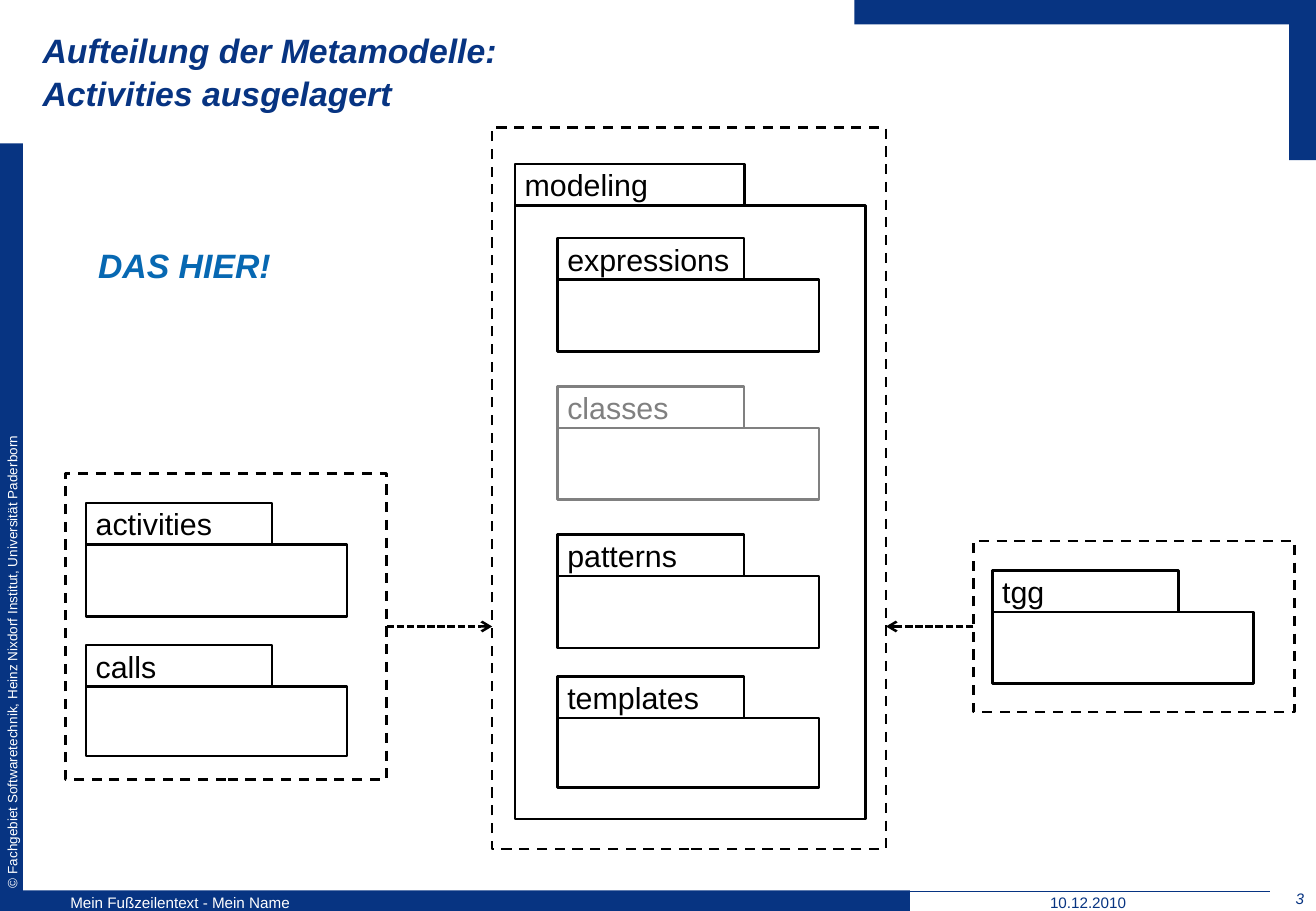
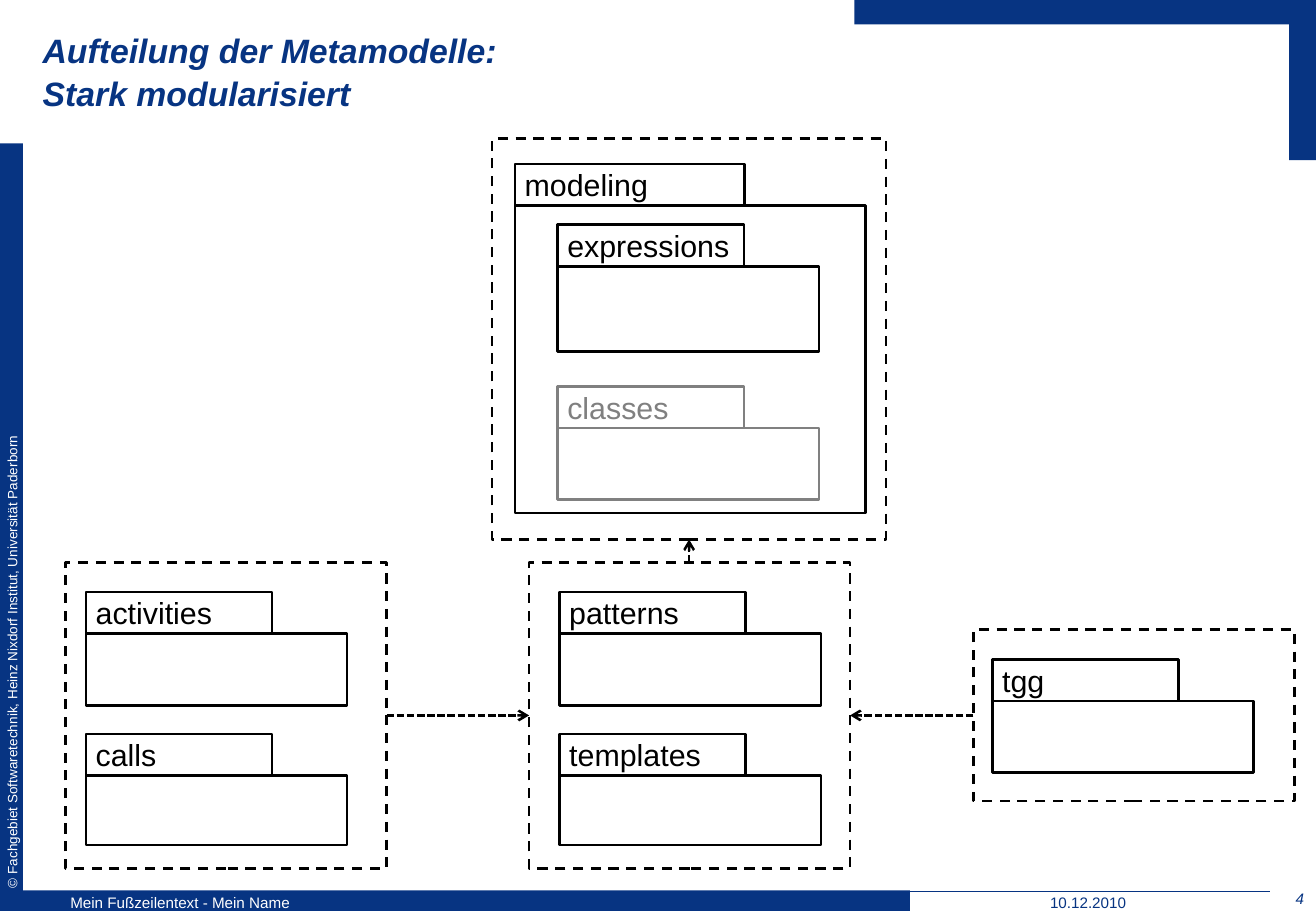
from dataclasses import dataclass

from lxml import etree
from pptx import Presentation
from pptx.dml.color import RGBColor
from pptx.enum.dml import MSO_LINE
from pptx.enum.shapes import MSO_CONNECTOR, MSO_SHAPE
from pptx.enum.text import MSO_ANCHOR, MSO_AUTO_SIZE, PP_ALIGN
from pptx.oxml.ns import qn
from pptx.shapes.autoshape import Shape
from pptx.shapes.connector import Connector
from pptx.slide import Slide, SlideLayout
from pptx.util import Cm, Pt

RECTANGLE = MSO_SHAPE.RECTANGLE
STRAIGHT = MSO_CONNECTOR.STRAIGHT
DASH, SHORT_DASH = MSO_LINE.DASH, MSO_LINE.SQUARE_DOT
LEFT, CENTER, RIGHT = PP_ALIGN.LEFT, PP_ALIGN.CENTER, PP_ALIGN.RIGHT
TOP, MIDDLE = MSO_ANCHOR.TOP, MSO_ANCHOR.MIDDLE
NO_AUTOFIT = MSO_AUTO_SIZE.NONE
TITLE_ONLY = 5


@dataclass(frozen=True)
class TextStyle:
    size: float
    color: RGBColor
    bold: bool = False
    italic: bool = False


@dataclass(frozen=True)
class Theme:
    font: str = "Arial"
    navy: RGBColor = RGBColor(0x07, 0x34, 0x82)
    blue: RGBColor = RGBColor(0x07, 0x68, 0xB2)
    black: RGBColor = RGBColor(0, 0, 0)
    gray: RGBColor = RGBColor(0x80, 0x80, 0x80)
    white: RGBColor = RGBColor(0xFF, 0xFF, 0xFF)
    title_size: float = 20
    package_size: float = 18
    footer_size: float = 9
    copyright_size: float = 8
    line_width: float = 1.5
    rule_width: float = 1


THEME = Theme()


@dataclass(frozen=True)
class Box:
    """A rectangle in centimetres."""
    left: float
    top: float
    width: float
    height: float

    @property
    def right(self) -> float:
        return self.left + self.width

    @property
    def bottom(self) -> float:
        return self.top + self.height

    @property
    def center(self) -> float:
        return self.left + self.width / 2

    @property
    def middle(self) -> float:
        return self.top + self.height / 2

    def lengths(self) -> tuple[Cm, Cm, Cm, Cm]:
        return Cm(self.left), Cm(self.top), Cm(self.width), Cm(self.height)


@dataclass(frozen=True)
class Package:
    """A UML package: a name tab on top of a body."""
    name: str
    left: float
    top: float
    body_height: float = 1.5
    body_width: float = 5.46
    tab_width: float = 3.89
    color: RGBColor = THEME.black


TAB_HEIGHT = 0.87
PAIR_PITCH = 2.97
PAIR_WIDTH, PAIR_HEIGHT = 6.71, 6.4
MODULE_PADDING = 0.62
SLIDE_WIDTH, SLIDE_HEIGHT = 27.51, 19.05

BANDS = (
    Box(0, 18.62, 19.02, 0.43),
    Box(0, 3, 0.48, 16.05),
    Box(17.86, 0, 9.65, 0.51),
    Box(26.95, 0, 0.56, 3.35),
)


def set_text(shape: Shape, text: str, style: TextStyle, align: PP_ALIGN = LEFT,
             anchor: MSO_ANCHOR = MIDDLE, wrap: bool = True,
             insets: tuple[float, ...] = (0.25, 0.13, 0.25, 0.13)) -> None:
    frame = shape.text_frame
    frame.text = text
    frame.word_wrap = wrap
    frame.auto_size = NO_AUTOFIT
    frame.vertical_anchor = anchor
    (frame.margin_left, frame.margin_top,
     frame.margin_right, frame.margin_bottom) = map(Cm, insets)
    for paragraph in frame.paragraphs:
        paragraph.alignment = align
        for run in paragraph.runs:
            run.font.name = THEME.font
            run.font.size = Pt(style.size)
            run.font.bold = style.bold
            run.font.italic = style.italic
            run.font.color.rgb = style.color


def add_text(slide: Slide, box: Box, text: str, style: TextStyle, **options) -> Shape:
    shape = slide.shapes.add_textbox(*box.lengths())
    set_text(shape, text, style, **options)
    return shape


def add_rectangle(slide: Slide, box: Box, fill: RGBColor,
                  line: RGBColor | None = None) -> Shape:
    shape = slide.shapes.add_shape(RECTANGLE, *box.lengths())
    shape.shadow.inherit = False
    shape.fill.solid()
    shape.fill.fore_color.rgb = fill
    if line is None:
        shape.line.fill.background()
    else:
        shape.line.color.rgb = line
        shape.line.width = Pt(THEME.line_width)
    return shape


def add_line(slide: Slide, start: tuple[float, float], end: tuple[float, float],
             color: RGBColor, width: float) -> Connector:
    points = (Cm(value) for value in (*start, *end))
    connector = slide.shapes.add_connector(STRAIGHT, *points)
    connector.line.color.rgb = color
    connector.line.width = Pt(width)
    etree.SubElement(connector.element.spPr, qn("a:effectLst"))
    return connector


def add_dependency(slide: Slide, start: tuple[float, float],
                   end: tuple[float, float]) -> None:
    """Draw a dashed arrow from the dependent module to the one it uses."""
    connector = add_line(slide, start, end, THEME.black, THEME.line_width)
    connector.line.dash_style = SHORT_DASH
    outline = connector.element.spPr.find(qn("a:ln"))
    etree.SubElement(outline, qn("a:tailEnd"), type="arrow")


def add_module(slide: Slide, box: Box) -> Box:
    """Draw the dashed frame of a module and return its box."""
    add_rectangle(slide, box, THEME.white, THEME.black).line.dash_style = DASH
    return box


def add_package(slide: Slide, package: Package) -> None:
    body = Box(package.left, package.top + TAB_HEIGHT,
               package.body_width, package.body_height)
    tab = Box(package.left, package.top, package.tab_width, TAB_HEIGHT)
    add_rectangle(slide, body, THEME.white, package.color)
    shape = add_rectangle(slide, tab, THEME.white, package.color)
    set_text(shape, package.name, TextStyle(THEME.package_size, package.color),
             insets=(0.2, 0, 0, 0))


def add_package_pair(slide: Slide, left: float, top: float,
                     upper: str, lower: str) -> None:
    add_package(slide, Package(upper, left, top))
    add_package(slide, Package(lower, left, top + PAIR_PITCH, body_height=1.45))


def add_side_modules(slide: Slide, top: float) -> tuple[Box, Box]:
    """Draw the activities module and, level with its middle, the tgg module."""
    activities = add_module(slide, Box(1.37, top, PAIR_WIDTH, PAIR_HEIGHT))
    add_package_pair(slide, 1.8, top + MODULE_PADDING, "activities", "calls")
    tgg_height = 3.58
    tgg = add_module(slide, Box(20.35, activities.middle - tgg_height / 2,
                                PAIR_WIDTH, tgg_height))
    add_package(slide, Package("tgg", 20.75, tgg.top + MODULE_PADDING))
    return activities, tgg


def add_modeling(slide: Slide, module: Box, body_height: float,
                 expressions: Package) -> Box:
    add_module(slide, module)
    add_package(slide, Package("modeling", 10.77, 3.43, body_height, 7.32, 4.8))
    add_package(slide, expressions)
    add_package(slide, Package("classes", 11.66, 8.08, color=THEME.gray))
    return module


def connect_sides(slide: Slide, activities: Box, used: Box, tgg: Box) -> None:
    level = activities.middle
    add_dependency(slide, (activities.right, level), (used.left, level))
    add_dependency(slide, (tgg.left, level), (used.right, level))


def move_bands_to_layout(slide: Slide, layout: SlideLayout) -> None:
    """Draw the shared bands and copyright line, then hand them to the layout."""
    shapes = [add_rectangle(slide, band, THEME.navy) for band in BANDS]
    shapes.append(add_line(slide, (19, 18.64), (26.54, 18.64),
                           THEME.navy, THEME.rule_width))
    copyright_line = add_text(
        slide, Box(-6.86, 11.3, 14.22, 0.33),
        "© Fachgebiet Softwaretechnik, Heinz Nixdorf Institut, Universität Paderborn",
        TextStyle(THEME.copyright_size, THEME.white), insets=(0, 0, 0, 0))
    copyright_line.rotation = 270
    shapes.append(copyright_line)
    for shape in shapes:
        layout.shapes.element.append(shape.element)


def add_slide(presentation: Presentation, layout: SlideLayout,
              subtitle: str, number: int) -> Slide:
    slide = presentation.slides.add_slide(layout)
    title = slide.shapes.title
    title.left, title.top, title.width, title.height = Box(0, 0, 16.84, 2.95).lengths()
    set_text(title, f"Aufteilung der Metamodelle:\v{subtitle}",
             TextStyle(THEME.title_size, THEME.navy, bold=True, italic=True),
             insets=(0.89, 0.13, 0.25, 0.13))
    title.text_frame.paragraphs[0].line_spacing = 1.05

    add_text(slide, Box(26.52, 18.47, 0.99, 0.58), str(number),
             TextStyle(THEME.footer_size, THEME.navy, italic=True),
             align=RIGHT, anchor=TOP)
    add_text(slide, Box(1.37, 18.64, 17.15, 0.48), "Mein Fußzeilentext - Mein Name",
             TextStyle(THEME.footer_size, THEME.white), insets=(0.1, 0.13, 0.2, 0.13))
    add_text(slide, Box(19.53, 18.64, 6.43, 0.48), "10.12.2010",
             TextStyle(THEME.footer_size, THEME.navy), align=CENTER)
    return slide


def draw_activities_split(slide: Slide) -> None:
    modeling = add_modeling(slide, Box(10.29, 2.67, 8.23, 15.09), 12.83,
                            Package("expressions", 11.66, 4.98))
    add_package_pair(slide, 11.66, 11.18, "patterns", "templates")
    activities, tgg = add_side_modules(slide, 9.9)
    connect_sides(slide, activities, modeling, tgg)
    add_text(slide, Box(1.8, 4.98, 4.17, 1.12), "DAS HIER!",
             TextStyle(THEME.title_size, THEME.blue, bold=True, italic=True),
             anchor=TOP, wrap=False)


def draw_modular_split(slide: Slide) -> None:
    modeling = add_modeling(slide, Box(10.29, 2.9, 8.23, 8.38), 6.43,
                            Package("expressions", 11.66, 4.7, body_height=1.78))
    patterns = add_module(slide, Box(11.06, 11.76, PAIR_WIDTH, PAIR_HEIGHT))
    add_package_pair(slide, 11.7, patterns.top + MODULE_PADDING,
                     "patterns", "templates")
    activities, tgg = add_side_modules(slide, patterns.top)
    connect_sides(slide, activities, patterns, tgg)
    add_dependency(slide, (modeling.center, patterns.top),
                   (modeling.center, modeling.bottom))


def main() -> None:
    presentation = Presentation()
    presentation.slide_width = Cm(SLIDE_WIDTH)
    presentation.slide_height = Cm(SLIDE_HEIGHT)
    layout = presentation.slide_layouts[TITLE_ONLY]

    activities_slide = add_slide(presentation, layout, "Activities ausgelagert", 3)
    move_bands_to_layout(activities_slide, layout)
    draw_activities_split(activities_slide)
    draw_modular_split(add_slide(presentation, layout, "Stark modularisiert", 4))

    presentation.save("out.pptx")


if __name__ == "__main__":
    main()
